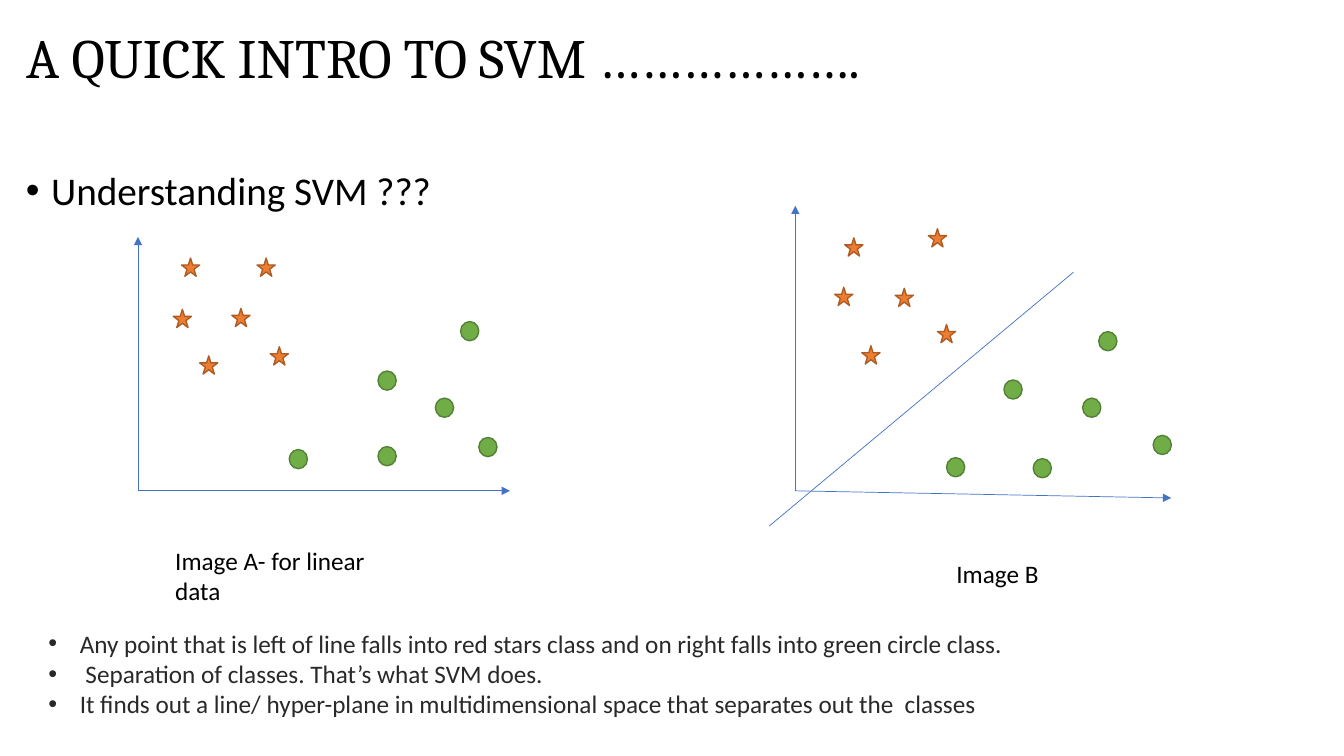
from pptx import Presentation
from pptx.dml.color import RGBColor
from pptx.enum.shapes import MSO_CONNECTOR as Conn, MSO_SHAPE as Kind
from pptx.enum.text import MSO_ANCHOR as Anchor, MSO_AUTO_SIZE as Fit, PP_ALIGN as Align
from pptx.oxml.ns import qn
from pptx.util import Pt
from lxml.etree import SubElement

BLACK, GREY, BLUE = "000000", "292929", "4472C4"
STAR = (Kind.STAR_5_POINT, 13, 13, "ED7D31", "AF5C24")
DOT = (Kind.OVAL, 13, 13.7, "70AD47", "538035")

PLOTS = [
    {
        "axes": [((98.6, 351), (98.6, 169.2)), ((98.6, 350.6), (364.3, 350.6))],
        "stars": [(129.6, 184.3), (123.8, 221), (142.6, 254.2),
                  (165.6, 220.3), (183.6, 184.3), (193, 247.7)],
        "dots": [(270, 265), (329, 229.7), (342, 312.5),
                 (206.6, 321.1), (270, 319), (311, 284.4)],
        "label": "Image A- for linear data",
        "box": (118.1, 385.9, 165.6, 51),
    },
    {
        "axes": [((568.1, 350.6), (568.1, 146.9)), ((568.1, 350.6), (836.6, 355.7))],
        "stars": [(603.4, 169.9), (596.2, 205.2), (663.1, 163.4),
                  (639.4, 205.9), (615.6, 247), (669.6, 231.8)],
        "dots": [(784.8, 236.9), (717.1, 271.4), (676.1, 326.9),
                 (738, 327.6), (773.3, 284.4), (823.7, 311)],
        "label": "Image B",
        "box": (676.1, 395.3, 84.2, 29),
    },
]
NOTES = [
    "Any point that is left of line falls into red stars class "
    "and on right falls into green circle class.",
    " Separation of classes. That’s what SVM does.",
    "It finds out a line/ hyper-plane in multidimensional space "
    "that separates out the  classes",
]


def tint(code):
    return RGBColor.from_string(code)


class Deck:
    """Holds the text style and the current slide."""

    font = "Calibri"

    def __init__(self, wide, high):
        self.prs = Presentation()
        self.prs.slide_width, self.prs.slide_height = Pt(wide), Pt(high)
        self.slide = self.prs.slides.add_slide(self.prs.slide_layouts[5])

    def put(self, para, text, size, color, font=None):
        """Add one styled run to a paragraph."""
        para.alignment = Align.LEFT
        run = para.add_run()
        run.text = text
        run.font.name = font or self.font
        run.font.size = Pt(size)
        run.font.color.rgb = tint(color)

    def title(self, text, box, size, font):
        head = self.slide.shapes.title
        head.left, head.top, head.width, head.height = map(Pt, box)
        frame = head.text_frame
        frame.auto_size = Fit.NONE
        frame.vertical_anchor = Anchor.MIDDLE
        para = frame.paragraphs[0]
        para.line_spacing = 0.9
        self.put(para, text, size, BLACK, font)

    def text(self, lines, box, size=18, color=BLACK, indent=0, space=None, before=0):
        """Add a text box; a positive indent gives each line a bullet."""
        frame = self.slide.shapes.add_textbox(*map(Pt, box)).text_frame
        frame.word_wrap = True
        for i, line in enumerate(lines):
            para = frame.add_paragraph() if i else frame.paragraphs[0]
            para.line_spacing = space
            para.space_before = Pt(before)
            self.put(para, line, size, color)
            if indent:
                props = para._p.get_or_add_pPr()
                props.set("marL", str(Pt(indent)))
                props.set("indent", str(-Pt(indent)))
                SubElement(props, qn("a:buFont")).set("typeface", "Arial")
                SubElement(props, qn("a:buChar")).set("char", "•")

    def line(self, start, end, arrow=False):
        link = self.slide.shapes.add_connector(
            Conn.STRAIGHT, *map(Pt, (*start, *end)))
        link.line.color.rgb = tint(BLUE)
        link.line.width = Pt(0.5)
        if arrow:
            SubElement(link.line._get_or_add_ln(), qn("a:tailEnd")).set("type", "triangle")
        SubElement(link._element.spPr, qn("a:effectLst"))

    def mark(self, spot, look):
        kind, wide, high, fill, edge = look
        shape = self.slide.shapes.add_shape(kind, *map(Pt, (*spot, wide, high)))
        shape.shadow.inherit = False
        shape.fill.solid()
        shape.fill.fore_color.rgb = tint(fill)
        shape.line.color.rgb = tint(edge)
        shape.line.width = Pt(1)

    def plot(self, data):
        for start, end in data["axes"]:
            self.line(start, end, arrow=True)
        for key, look in (("stars", STAR), ("dots", DOT)):
            for spot in data[key]:
                self.mark(spot, look)
        self.text([data["label"]], data["box"])


def main():
    deck = Deck(960, 540)
    deck.title("A QUICK INTRO TO SVM ……………….", (11.5, 7.9, 718.6, 71.3), 39.6, "Cambria")
    deck.text(["Understanding SVM ???"], (11.5, 118.8, 882.7, 414.7), 28,
              indent=18, space=0.9, before=10)
    for data in PLOTS:
        deck.plot(data)
    deck.line((549.4, 375.8), (766.8, 194.4))
    deck.text(NOTES, (27.4, 445, 771, 72.7), color=GREY, indent=22.5)
    deck.prs.save("out.pptx")


if __name__ == "__main__":
    main()
